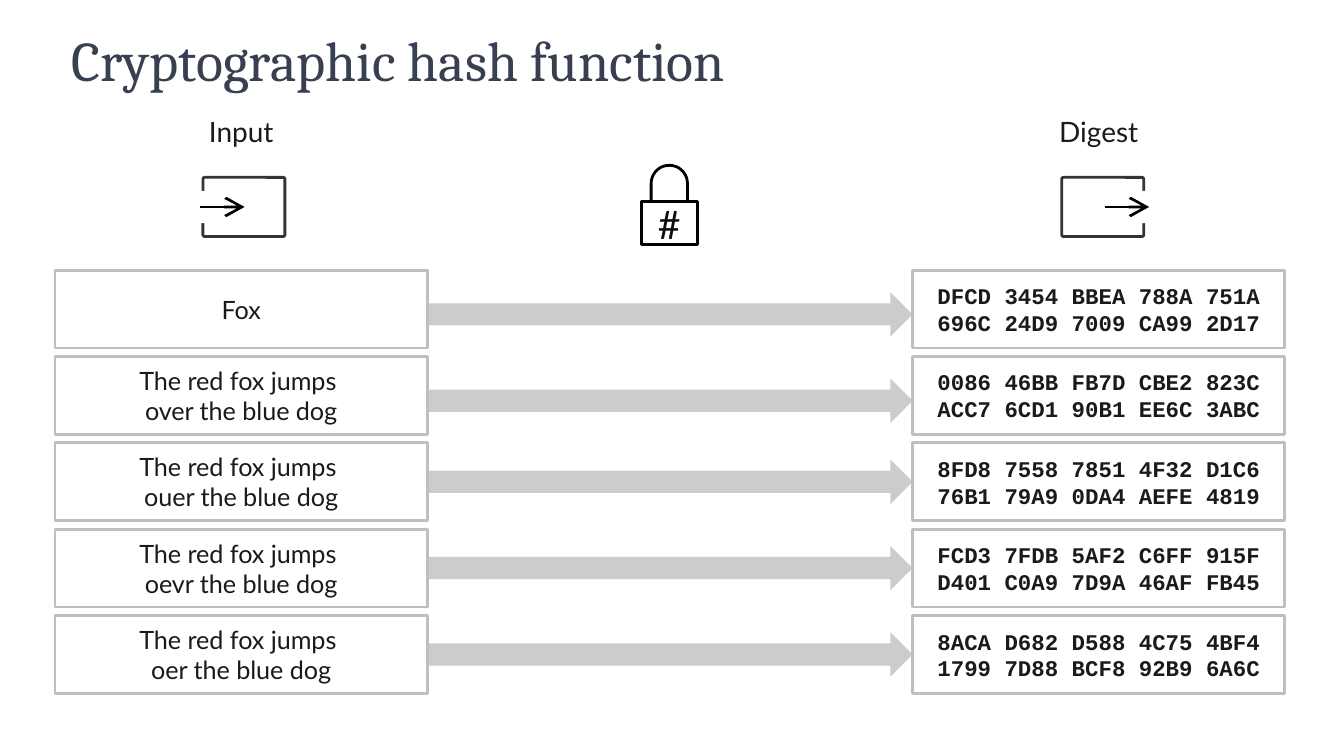
import copy
import math
import pptx
import pptx.util
import pptx.dml.color
import pptx.enum.shapes
import pptx.enum.text
import pptx.oxml
import pptx.oxml.ns

Inches, Pt = pptx.util.Inches, pptx.util.Pt
MSO = pptx.enum.shapes.MSO_SHAPE
ALIGN = pptx.enum.text.PP_ALIGN
ANCHOR = pptx.enum.text.MSO_ANCHOR
RGB = pptx.dml.color.RGBColor.from_string
A = pptx.oxml.ns.nsdecls("a")
COLORS = {"paper": "FFFFFF", "text": "1A1A1A", "title": "383F50", "hash": "0D0D0D",
          "arrow": "CCCCCC", "border": "BFBFBF", "icon": "343434", "ink": "000000"}

prs = pptx.Presentation()
prs.slide_width = Inches(10)
prs.slide_height = prs.slide_width * 9 // 16
s = prs.slides.add_slide(prs.slide_layouts[5])


def add_text(sp, text, size, font="Lato", color="text", bold=False, align=ALIGN.CENTER,
             anchor=ANCHOR.MIDDLE, insets=(0, 0), spacing=None, wrap=True):
    """Fill a shape: \\n starts a paragraph, \\v breaks a line; insets are (sides, top and bottom)."""
    tf = sp.text_frame
    tf.word_wrap, tf.vertical_anchor = wrap, anchor
    tf.auto_size = pptx.enum.text.MSO_AUTO_SIZE.NONE
    tf.margin_left = tf.margin_right = Inches(insets[0])
    tf.margin_top = tf.margin_bottom = Inches(insets[1])
    tf.text = text
    for p in tf.paragraphs:
        p.alignment, p.line_spacing = align, spacing
        for r in p.runs:
            r.font.name, r.font.size, r.font.bold = font, Pt(size), bold
            r.font.color.rgb = RGB(COLORS[color])
        for br in p._p.findall(pptx.oxml.ns.qn("a:br")):
            br.append(copy.deepcopy(p.runs[0]._r.rPr))


def add_box(kind, x, y, w, h, fill=None, line=None):
    sp = s.shapes.add_shape(kind, Inches(x), Inches(y), Inches(w), Inches(h))
    sp.shadow.inherit = False
    if fill:
        sp.fill.solid()
        sp.fill.fore_color.rgb = RGB(COLORS[fill])
    else:
        sp.fill.background()
    if line:
        sp.line.color.rgb = RGB(COLORS[line])
        sp.line.width = Pt(1.5)
    else:
        sp.line.fill.background()
    return sp


# Title
title = s.shapes.title
title.left, title.top, title.width, title.height = map(Inches, (0.43, 0.14, 8.81, 0.96))
add_text(title, "Cryptographic hash function", 30, font="Cambria", color="title",
         align=ALIGN.LEFT, anchor=ANCHOR.TOP, insets=(0.1, 0.05))

# Column panels with headings
for label, x in (("Digest", 6.67), ("Input", 0.29)):
    panel = add_box(MSO.RECTANGLE, x, 0.76, 3.01, 4.51, fill="paper")
    add_text(panel, label, 15, anchor=ANCHOR.TOP, insets=(0.15, 0.12), spacing=0.9)

# Rows: input, digest, arrow drop below the row's middle
rows = [
    ("Fox", "DFCD 3454 BBEA 788A 751A\v696C 24D9 7009 CA99 2D17", 0.04),
    ("The red fox jumps \vover the blue dog", "0086 46BB FB7D CBE2 823C\nACC7 6CD1 90B1 EE6C 3ABC", 0.04),
    ("The red fox jumps \vouer the blue dog", "8FD8 7558 7851 4F32 D1C6\n76B1 79A9 0DA4 AEFE 4819", 0),
    ("The red fox jumps \voevr the blue dog", "FCD3 7FDB 5AF2 C6FF 915F\nD401 C0A9 7D9A 46AF FB45", 0),
    ("The red fox jumps \voer the blue dog", "8ACA D682 D588 4C75 4BF4\n1799 7D88 BCF8 92B9 6A6C", 0),
]
LEFT, RIGHT, BOX_W, BOX_H = 0.41, 6.79, 2.77, 0.58
FIRST_ROW, LAST_ROW, ARROW_H = 2.01, 4.58, 0.33
PITCH = (LAST_ROW - FIRST_ROW) / (len(rows) - 1)
for i, (message, digest, drop) in enumerate(rows):
    y = FIRST_ROW + i * PITCH
    add_box(MSO.RIGHT_ARROW, LEFT + BOX_W, y + (BOX_H - ARROW_H) / 2 + drop,
            RIGHT - LEFT - BOX_W, ARROW_H, fill="arrow")
    add_text(add_box(MSO.RECTANGLE, LEFT, y, BOX_W, BOX_H, line="border"), message, 13.5)
    add_text(add_box(MSO.RECTANGLE, RIGHT, y, BOX_W, BOX_H, line="border"), digest, 12,
             font="Courier New", bold=True)

# Input and output icons: frame, gap in its side, arrow through the gap
for frame_x, gap_x, gap_w, arrow_x in ((1.51, 1.41, 0.22, 1.49), (7.9, 8.45, 0.12, 8.22)):
    frame = add_box(MSO.ROUNDED_RECTANGLE, frame_x, 1.32, 0.61, 0.44, line="icon")
    frame.adjustments[0] = 0.03
    add_box(MSO.RECTANGLE, gap_x, 1.42, gap_w, 0.24, fill="paper")
    arrow = s.shapes.add_connector(pptx.enum.shapes.MSO_CONNECTOR.STRAIGHT, Inches(arrow_x),
                                   Inches(1.54), Inches(arrow_x + 0.33), Inches(1.54))
    arrow.line.color.rgb = RGB(COLORS["ink"])
    arrow.line.width = Pt(1.5)
    ln = arrow.line._get_or_add_ln()
    ln.append(pptx.oxml.parse_xml(f'<a:tailEnd {A} type="arrow" w="lg" len="lg"/>'))
    ln.addnext(pptx.oxml.parse_xml(f"<a:effectLst {A}/>"))

# Padlock in thousandths of an inch: body, then a shackle with a half-circle top
hash_sign = s.shapes.add_textbox(Inches(4.79), Inches(1.48), Inches(0.38), Inches(0.42))
add_text(hash_sign, "#", 21, color="hash", anchor=ANCHOR.TOP, insets=(0.1, 0.05),
         spacing=0.9, wrap=False)
MID, RADIUS, SHACKLE_Y, BODY_Y = 4980, 135, 1365, 1500
arch = [(MID + RADIUS * math.cos(math.radians(a)), SHACKLE_Y - RADIUS * math.sin(math.radians(a)))
        for a in range(0, 181, 10)]
fb = s.shapes.build_freeform(5190, 1820, scale=Inches(1) / 1000)
fb.add_line_segments([(4770, 1820), (4770, BODY_Y), (5190, BODY_Y)], close=True)
fb.move_to(MID + RADIUS, BODY_Y)
fb.add_line_segments(arch + [(MID - RADIUS, BODY_Y)], close=False)
lock = fb.convert_to_shape()
lock.shadow.inherit = False
lock.fill.background()
lock.line.color.rgb = RGB(COLORS["ink"])
lock.line.width = Pt(1.5)

prs.save("out.pptx")
